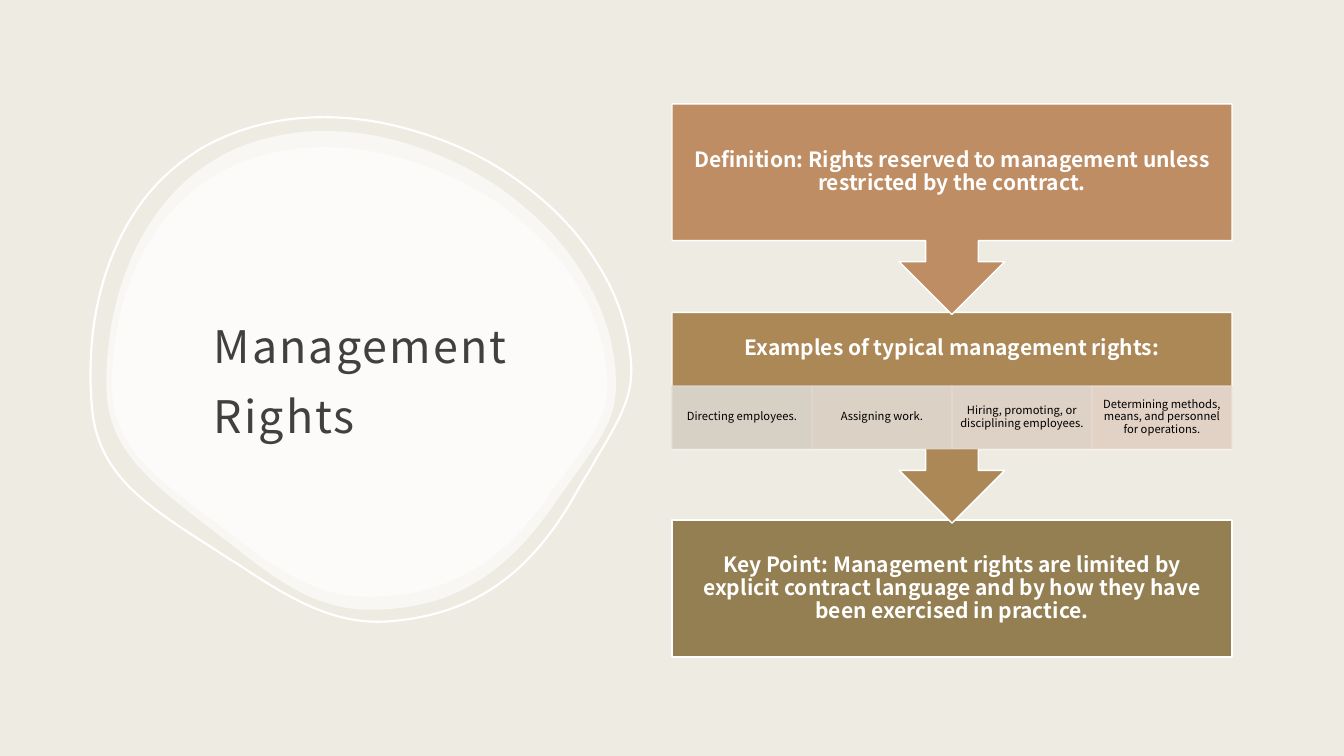
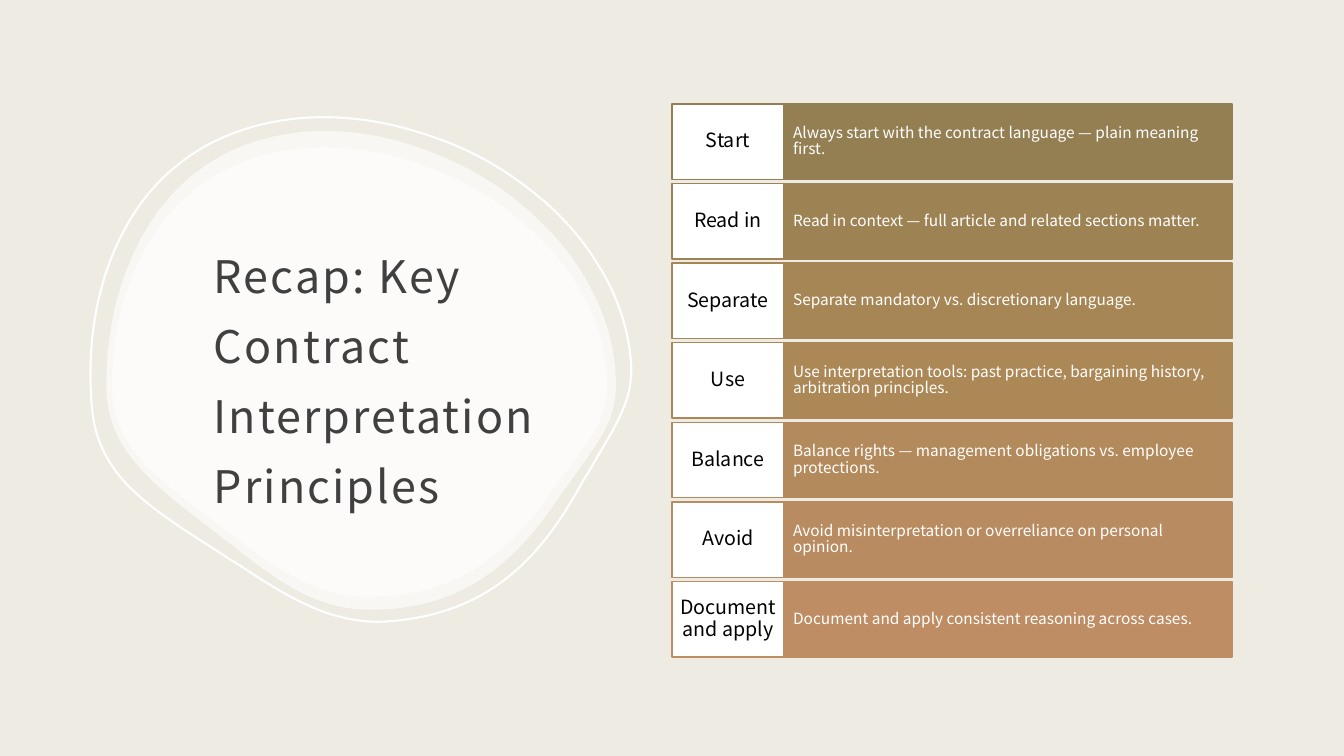
import pptx
import pptx.dml.color
import pptx.enum.shapes
import pptx.enum.text
import pptx.oxml
import pptx.oxml.ns
import pptx.util

RGBColor = pptx.dml.color.RGBColor
Inches = pptx.util.Inches
Pt = pptx.util.Pt
Preset = pptx.enum.shapes.MSO_SHAPE
Align = pptx.enum.text.PP_ALIGN
qn = pptx.oxml.ns.qn
NAMESPACE = pptx.oxml.ns.nsdecls("a")

CREAM = RGBColor(0xEE, 0xEB, 0xE2)
WHITE = RGBColor(0xFF, 0xFF, 0xFF)
BLACK = RGBColor(0x00, 0x00, 0x00)
CHARCOAL = RGBColor(0x40, 0x40, 0x40)
OLIVE = RGBColor(0x94, 0x7F, 0x53)
MOSS = RGBColor(0x9D, 0x83, 0x54)
KHAKI = RGBColor(0xA6, 0x86, 0x55)
OCHRE = RGBColor(0xAD, 0x88, 0x57)
TAN = RGBColor(0xB3, 0x8A, 0x5B)
CLAY = RGBColor(0xB9, 0x8B, 0x60)
COPPER = RGBColor(0xBE, 0x8D, 0x64)
PALE_STONE = RGBColor(0xDC, 0xD8, 0xD1)
PALE_SAND = RGBColor(0xE0, 0xD9, 0xD1)
PALE_BLUSH = RGBColor(0xE4, 0xDA, 0xD2)
PALE_ROSE = RGBColor(0xE8, 0xDB, 0xD3)

FONT = "Noto Sans CJK JP"
COLUMNS, ROWS = 12, 100
PANEL_LEFT, PANEL_WIDTH, PANEL_TOP = 6, 5, 13.73

# Pebble outline in hundredths of an inch from its own top left corner:
# a start point, then Bezier curves (two controls and an end)
PEBBLE_START = (216, 0)
PEBBLE_CURVES = [
    ((183, 0), (152, 7), (125, 19)),
    ((100, 31), (77, 48), (59, 70)),
    ((21, 116), (0, 180), (0, 252)),
    ((0, 280), (8, 303), (26, 326)),
    ((45, 350), (74, 372), (104, 395)),
    ((109, 399), (115, 404), (121, 408)),
    ((172, 449), (210, 475), (261, 475)),
    ((339, 475), (395, 443), (446, 367)),
    ((453, 357), (460, 348), (466, 339)),
    ((492, 303), (505, 284), (505, 252)),
    ((505, 220), (497, 188), (481, 158)),
    ((466, 128), (444, 101), (416, 77)),
    ((389, 53), (356, 34), (322, 21)),
    ((287, 7), (251, 0), (216, 0)),
]

RIGHTS = [
    ("Directing employees.", PALE_STONE),
    ("Assigning work.", PALE_SAND),
    ("Hiring, promoting, or disciplining employees.", PALE_BLUSH),
    ("Determining methods, means, and personnel for operations.", PALE_ROSE),
]
PRINCIPLES = [
    ("Start", "Always start with the contract language — plain meaning first.", OLIVE),
    ("Read in", "Read in context — full article and related sections matter.", MOSS),
    ("Separate", "Separate mandatory vs. discretionary language.", KHAKI),
    ("Use", "Use interpretation tools: past practice, bargaining history, "
            "arbitration principles.", OCHRE),
    ("Balance", "Balance rights — management obligations vs. employee protections.", TAN),
    ("Avoid", "Avoid misinterpretation or overreliance on personal opinion.", CLAY),
    ("Document and apply", "Document and apply consistent reasoning across cases.", COPPER),
]


def bend(shape, curves):
    """Turn each straight segment of a freeform into its Bezier curve."""
    segments = list(shape.element.iter(qn("a:lnTo")))
    for segment, curve in zip(segments, curves):
        points = "".join(f'<a:pt x="{x}" y="{y}"/>' for x, y in curve)
        bezier = pptx.oxml.parse_xml(
            f"<a:cubicBezTo {NAMESPACE}>{points}</a:cubicBezTo>")
        segment.getparent().replace(segment, bezier)


def write(shape, text, *, size, color, bold=False, align=Align.CENTER,
          leading=0.9, insets=(0.12, 0.12, 0.12, 0.12), tracking=None):
    """Fill a shape with one formatted paragraph; insets are in inches."""
    frame = shape.text_frame
    frame.text = text
    frame.word_wrap = True
    frame.auto_size = pptx.enum.text.MSO_AUTO_SIZE.NONE
    frame.vertical_anchor = pptx.enum.text.MSO_ANCHOR.MIDDLE
    (frame.margin_left, frame.margin_top,
     frame.margin_right, frame.margin_bottom) = map(Inches, insets)
    paragraph = frame.paragraphs[0]
    paragraph.alignment = align
    paragraph.line_spacing = leading
    font = paragraph.runs[0].font
    font.name, font.size, font.bold = FONT, Pt(size), bold
    font.color.rgb = color
    if tracking:
        for properties in shape.element.iter(qn("a:rPr")):
            properties.set("spc", str(int(tracking * 100)))


class Deck:
    """Holds the shared style and the slide being drawn."""

    def __init__(self):
        self.prs = pptx.Presentation()
        self.prs.slide_width, self.prs.slide_height = Inches(13.33), Inches(7.5)
        background = self.prs.slide_master.background.fill
        background.solid()
        background.fore_color.rgb = CREAM
        self.slide = None

    def frame(self, left, top, width, height):
        """Turn grid columns and rows into slide lengths."""
        column = self.prs.slide_width / COLUMNS
        row = self.prs.slide_height / ROWS
        return [int(length) for length in
                (left * column, top * row, width * column, height * row)]

    def place(self, shape, *cell):
        shape.left, shape.top, shape.width, shape.height = self.frame(*cell)

    def paint(self, shape, fill=None, line=None, weight=1, opacity=100):
        shape.shadow.inherit = False
        if fill is None:
            shape.fill.background()
        else:
            shape.fill.solid()
            shape.fill.fore_color.rgb = fill
        if line is None:
            shape.line.fill.background()
        else:
            shape.line.color.rgb = line
            shape.line.width = Pt(weight)
        if opacity < 100:
            for color in shape.element.spPr.iter(qn("a:srgbClr")):
                color.append(pptx.oxml.parse_xml(
                    f'<a:alpha {NAMESPACE} val="{opacity * 1000}"/>'))

    def pebble(self, *cell, rotation=0, **style):
        builder = self.slide.shapes.build_freeform(*PEBBLE_START, scale=Inches(0.01))
        builder.add_line_segments([curve[-1] for curve in PEBBLE_CURVES], close=True)
        shape = builder.convert_to_shape()
        bend(shape, PEBBLE_CURVES)
        self.place(shape, *cell)
        shape.rotation = rotation
        self.paint(shape, **style)

    def start_slide(self, heading):
        self.slide = self.prs.slides.add_slide(self.prs.slide_layouts[5])
        self.pebble(0.95, 17.33, 4.55, 63.33, fill=WHITE, opacity=60)
        self.pebble(1, 19.47, 4.42, 59.47, fill=WHITE, opacity=60)
        self.pebble(0.8, 15.07, 4.83, 67.33, rotation=355, line=WHITE, weight=1.5)
        title = self.slide.shapes.title
        self.slide.shapes.element.append(title.element)  # in front of the pebbles
        self.place(title, 1.8, 27.73, 3.26, 42.8)
        write(title, heading, size=32, color=CHARCOAL, align=Align.LEFT,
              leading=1.3, insets=(0.12, 0.12, 0.12, 0.1), tracking=1.5)

    def block(self, text, cell, fill, line, preset=Preset.RECTANGLE, opacity=100, **form):
        shape = self.slide.shapes.add_shape(preset, *self.frame(*cell))
        self.paint(shape, fill, line, opacity=opacity)
        write(shape, text, **form)

    def step(self, text, top, height, fill, **options):
        """Draw one full-width stage of the flow."""
        self.block(text, (PANEL_LEFT, top, PANEL_WIDTH, height), fill, WHITE,
                   size=15, color=WHITE, bold=True, **options)

    def rights_slide(self):
        self.start_slide("Management Rights")
        arrow = {"preset": Preset.DOWN_ARROW_CALLOUT, "height": 27.87}
        self.step("Key Point: Management rights are limited by explicit contract "
                  "language and by how they have been exercised in practice.",
                  68.8, 18.13, OLIVE)
        # The deep bottom inset keeps the heading above the row of examples
        self.step("Examples of typical management rights:", 41.33, fill=OCHRE,
                  insets=(0.12, 0.12, 0.12, 0.75), **arrow)
        width = PANEL_WIDTH / len(RIGHTS)
        for index, (right, tint) in enumerate(RIGHTS):
            self.block(right, (PANEL_LEFT + index * width, 51.07, width, 8.27),
                       tint, tint, opacity=90, size=8, color=BLACK,
                       insets=(0.06, 0.01, 0.06, 0.01))
        self.step("Definition: Rights reserved to management unless restricted "
                  "by the contract.", PANEL_TOP, fill=COPPER, **arrow)

    def recap_slide(self):
        self.start_slide("Recap: Key Contract Interpretation Principles")
        height, gap, label_width = 10, 0.53, 1
        for index, (label, principle, color) in enumerate(PRINCIPLES):
            top = PANEL_TOP + index * (height + gap)
            self.block(principle, (PANEL_LEFT + label_width, top,
                                   PANEL_WIDTH - label_width, height),
                       color, color, size=11, color=WHITE, align=Align.LEFT,
                       insets=(0.09, 0.19, 0.09, 0.19))
            self.block(label, (PANEL_LEFT, top, label_width, height),
                       WHITE, color, size=14, color=BLACK,
                       insets=(0.06, 0.07, 0.06, 0.07))


def main():
    deck = Deck()
    deck.rights_slide()
    deck.recap_slide()
    deck.prs.save("out.pptx")


if __name__ == "__main__":
    main()
